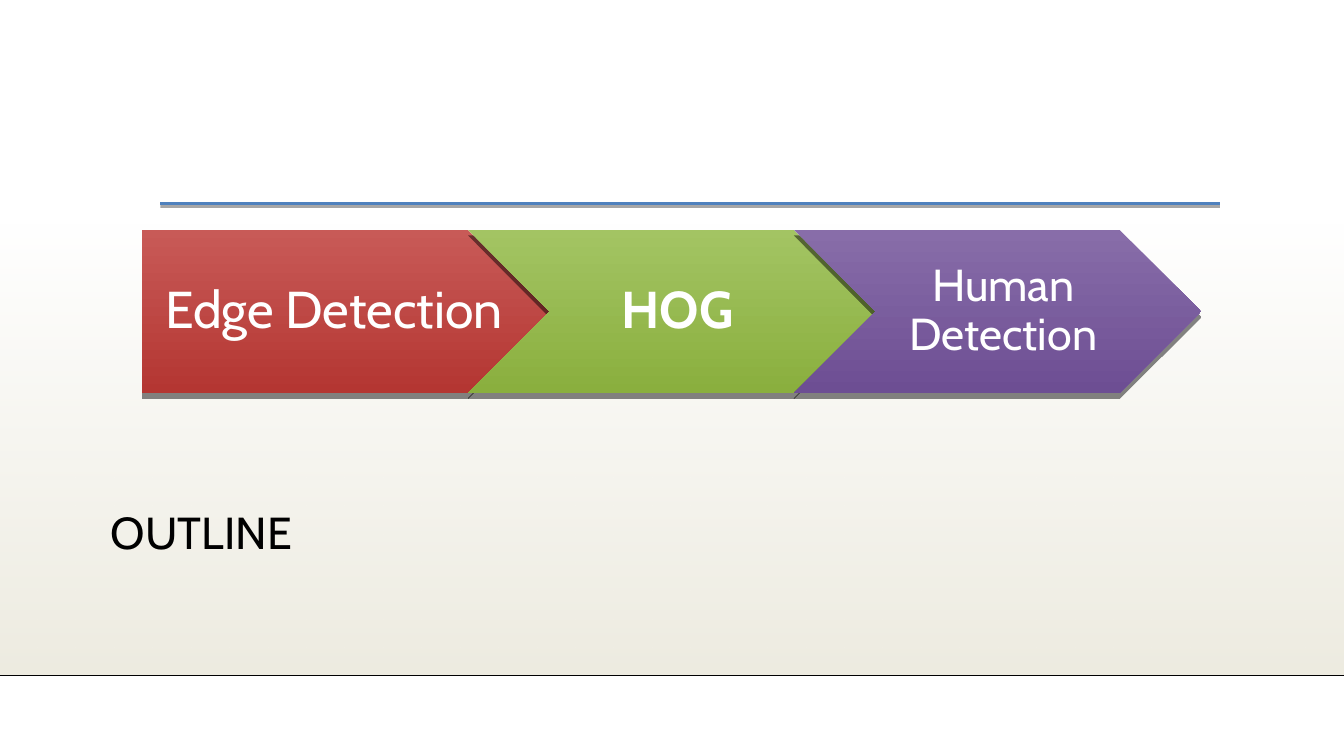
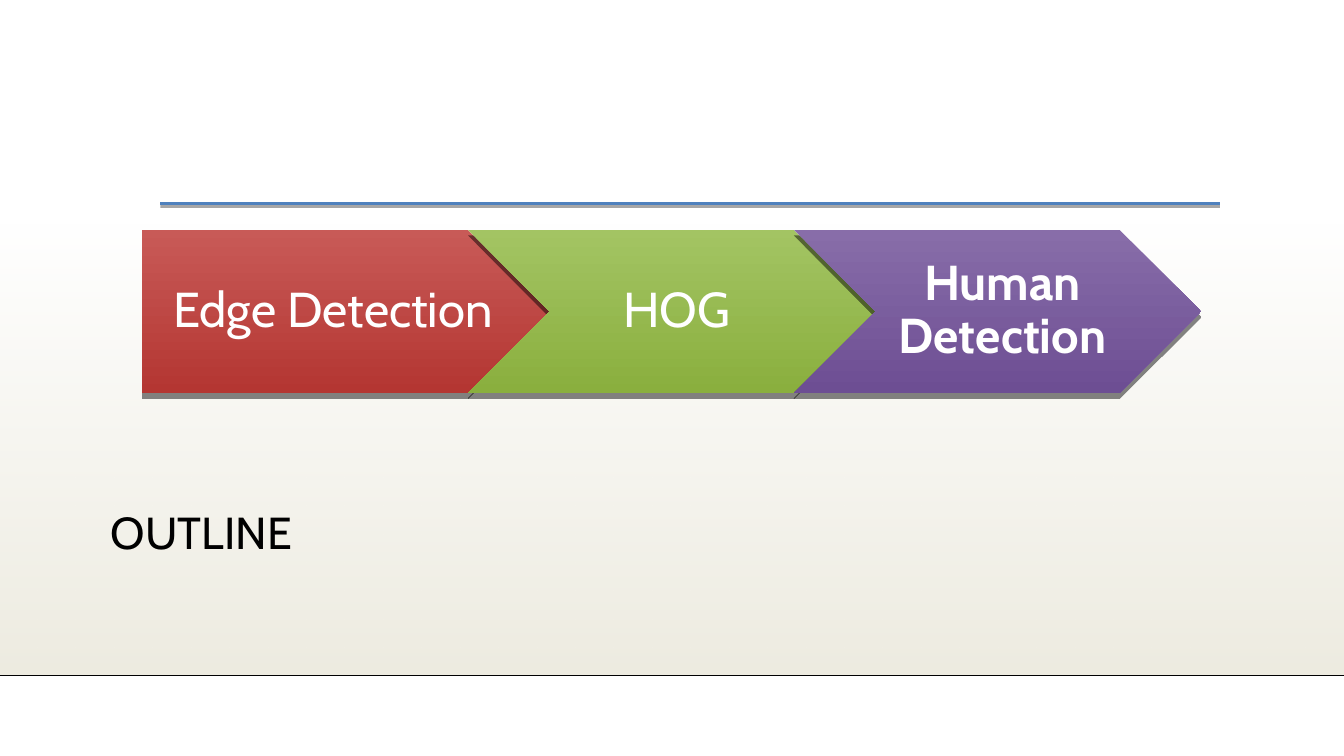
"""Build two outline slides that step through a chain of arrows."""
from typing import Any, NamedTuple

import lxml.etree
import pptx
import pptx.dml.color
import pptx.enum.dml
import pptx.enum.shapes
import pptx.enum.text
import pptx.oxml.ns
import pptx.presentation
import pptx.slide
import pptx.util

Inches = pptx.util.Inches
Pt = pptx.util.Pt
RGBColor = pptx.dml.color.RGBColor
Kind = pptx.enum.shapes.MSO_SHAPE
Align = pptx.enum.text.PP_ALIGN
Anchor = pptx.enum.text.MSO_ANCHOR
qn = pptx.oxml.ns.qn

FONT = "Cabin"
BLACK = RGBColor(0x00, 0x00, 0x00)
INK = RGBColor(0x00, 0x00, 0x01)
WHITE = RGBColor(0xFF, 0xFF, 0xFF)
SAND = RGBColor(0xEE, 0xEC, 0xE1)
BLUE = RGBColor(0x4F, 0x81, 0xBD)
RED = (RGBColor(0xC8, 0x5A, 0x57), RGBColor(0xB4, 0x36, 0x32))
GREEN = (RGBColor(0xA3, 0xC4, 0x63), RGBColor(0x8A, 0xAF, 0x3E))
PURPLE = (RGBColor(0x88, 0x6D, 0xA9), RGBColor(0x6D, 0x4E, 0x93))

WIDE, HIGH, BASE = 13.33, 7.5, 6.7
LEFT, TOP, LONG, TALL = 1.41, 2.28, 4.04, 1.62
STEP = LONG * 0.8


class Stage(NamedTuple):
    text: str
    kind: Any
    tint: tuple[RGBColor, RGBColor]
    inset: float


class Rule(NamedTuple):
    left: float
    right: float
    top: float
    color: RGBColor
    width: float
    shade: int
    drop: float


class Page(NamedTuple):
    sizes: tuple[int, int, int]
    bold: int
    pad: float


STAGES = (
    Stage("Edge Detection", Kind.PENTAGON, RED, 2),
    Stage("HOG", Kind.CHEVRON, GREEN, 1.5),
    Stage("Human Detection", Kind.CHEVRON, PURPLE, 1.5),
)
RULES = (
    Rule(0, WIDE, BASE, INK, 1, 0, 0),
    Rule(1.59, 12.1, 2.02, BLUE, 2.5, 35, 1.8),
)
PAGES = (Page((37, 37, 32), 1, 0.11), Page((35, 35, 35), 2, 0.1))


def add_shade(shape: Any, alpha: int = 0, drop: float = 0) -> None:
    """Replace the theme shadow with a hard drop, or with none."""
    fx = lxml.etree.SubElement(shape.element.spPr, qn("a:effectLst"))
    if alpha:
        cast = lxml.etree.SubElement(
            fx, qn("a:outerShdw"), blurRad="0", dist=str(int(Pt(drop))),
            dir="5400000", rotWithShape="0")
        tone = lxml.etree.SubElement(cast, qn("a:srgbClr"), val=str(BLACK))
        lxml.etree.SubElement(tone, qn("a:alpha"), val=str(alpha * 1000))


def fill_down(shape: Any, tint: tuple[RGBColor, RGBColor]) -> None:
    """Fill a shape from top to bottom and drop its outline."""
    shape.fill.gradient()
    shape.fill.gradient_angle = 270
    for stop, color in zip(shape.fill.gradient_stops, tint):
        stop.color.rgb = color
    shape.line.fill.background()


def style_text(frame: Any, size: int, color: RGBColor, align: Any,
               bold: bool = False) -> None:
    """Format all the text of a frame."""
    frame.word_wrap = True
    for para in frame.paragraphs:
        para.alignment = align
        para.line_spacing = 0.9
        for run in para.runs:
            run.font.name = FONT
            run.font.size = Pt(size)
            run.font.bold = bold
            run.font.color.rgb = color


def add_decor(slide: pptx.slide.Slide) -> None:
    """Draw the band and rules, and move them to the shared layout."""
    band = slide.shapes.add_shape(
        Kind.RECTANGLE, 0, Inches(2.21), Inches(WIDE), Inches(4.49))
    fill_down(band, (SAND, SAND))
    add_shade(band)
    first = next(band.element.spPr.iter(qn("a:srgbClr")))
    lxml.etree.SubElement(first, qn("a:alpha"), val="0")
    parts = [band]
    for rule in RULES:
        line = slide.shapes.add_connector(
            pptx.enum.shapes.MSO_CONNECTOR.STRAIGHT,
            Inches(rule.left), Inches(rule.top),
            Inches(rule.right), Inches(rule.top))
        line.line.color.rgb = rule.color
        line.line.width = Pt(rule.width)
        add_shade(line, rule.shade, rule.drop)
        parts.append(line)
    tree = slide.slide_layout.element.cSld.spTree
    for spot, part in enumerate(parts, 2):
        tree.insert(spot, part.element)


def add_title(slide: pptx.slide.Slide) -> None:
    """Place the title below the arrows."""
    title = slide.shapes.title
    title.left, title.top = Inches(1), Inches(5.02)
    title.width, title.height = Inches(11.33), Inches(1.42)
    frame = title.text_frame
    frame.text = "OUTLINE"
    frame.auto_size = pptx.enum.text.MSO_AUTO_SIZE.NONE
    frame.vertical_anchor = Anchor.TOP
    style_text(frame, 32, BLACK, Align.LEFT)


def add_chain(slide: pptx.slide.Slide, page: Page) -> None:
    """Draw the arrows with the current stage in bold."""
    for spot, (stage, size) in enumerate(zip(STAGES, page.sizes)):
        arrow = slide.shapes.add_shape(
            stage.kind, Inches(LEFT + spot * STEP), Inches(TOP),
            Inches(LONG), Inches(TALL))
        arrow.adjustments[0] = 0.5
        fill_down(arrow, stage.tint)
        add_shade(arrow, 48, 4)
        frame = arrow.text_frame
        frame.text = stage.text
        frame.vertical_anchor = Anchor.MIDDLE
        frame.margin_left = Inches(page.pad * stage.inset)
        frame.margin_right = Inches(0.05)
        frame.margin_top = frame.margin_bottom = Inches(page.pad)
        style_text(frame, size, WHITE, Align.CENTER, spot == page.bold)


def main() -> None:
    """Build and save the slides."""
    deck = pptx.Presentation()
    deck.slide_width, deck.slide_height = Inches(WIDE), Inches(HIGH)
    layout = deck.slide_layouts[5]
    for spot, page in enumerate(PAGES):
        slide = deck.slides.add_slide(layout)
        if spot == 0:
            add_decor(slide)
        add_title(slide)
        add_chain(slide, page)
    deck.save("out.pptx")


if __name__ == "__main__":
    main()
